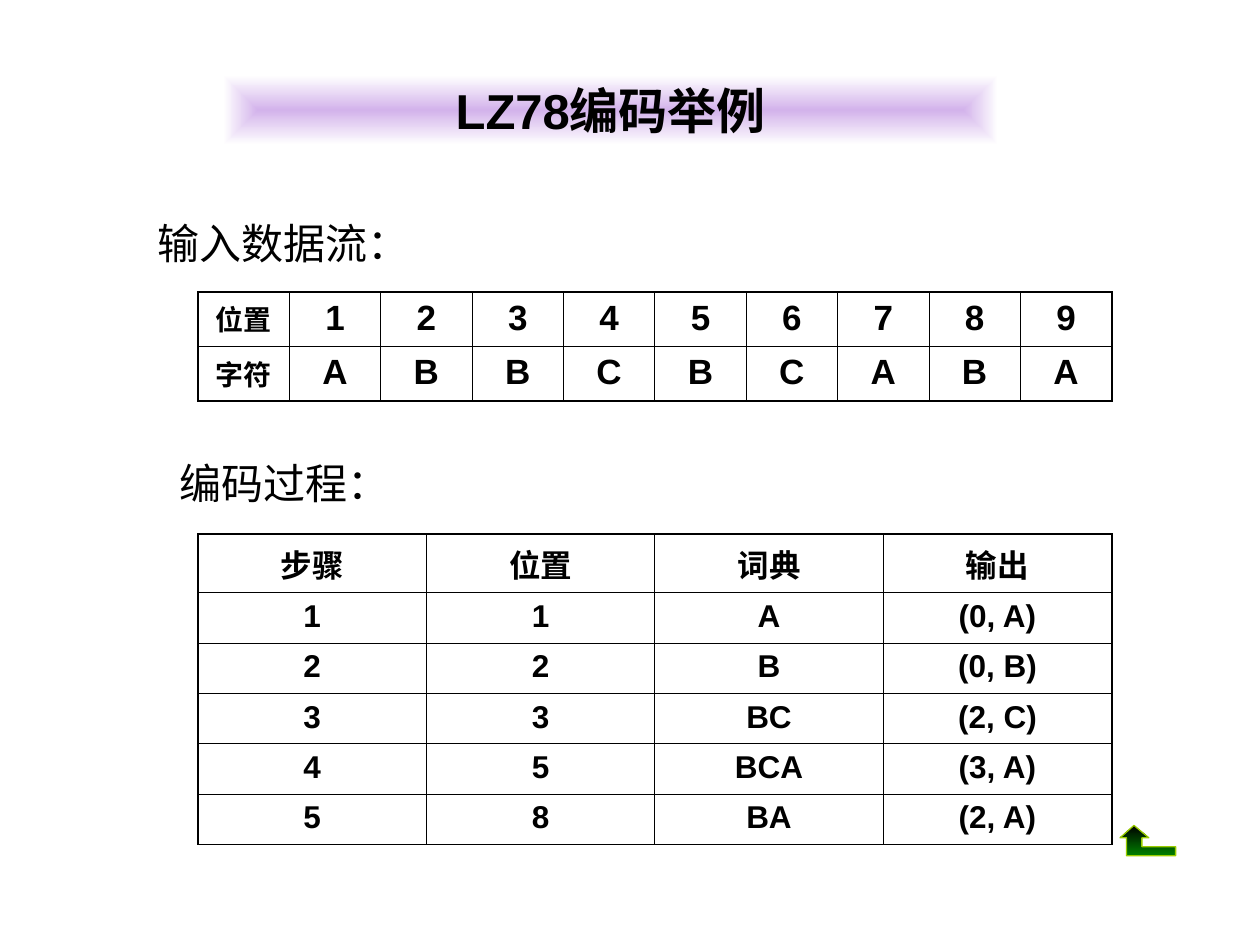
from lxml import etree
from pptx import Presentation
from pptx import util as u
from pptx.dml.color import RGBColor
from pptx.enum import text
from pptx.oxml import ns

Cm, Pt = u.Cm, u.Pt
COLORS = {
    "ink": "000000",
    "lilac": "D3B3EB",
    "paper": "FFFFFF",
    "green": "008000",
    "lime": "99CC00",
}
OUTER, INNER = 1.08, 0.45

INPUT_ROWS = [["位置", *"123456789"], ["字符", *"ABBCBCABA"]]
ENCODING_ROWS = [
    ["步骤", "位置", "词典", "输出"],
    ["1", "1", "A", "(0, A)"],
    ["2", "2", "B", "(0, B)"],
    ["3", "3", "BC", "(2, C)"],
    ["4", "5", "BCA", "(3, A)"],
    ["5", "8", "BA", "(2, A)"],
]


def color(name):
    return RGBColor.from_string(COLORS[name])


def write(frame, words, size, font="Arial", bold=False):
    frame.text = words
    para = frame.paragraphs[0]
    para.alignment = text.PP_ALIGN.CENTER
    for span in para.runs:
        span.font.size, span.font.name, span.font.bold = Pt(size), font, bold
        span.font.color.rgb = color("ink")


def fill_gradient(shape, first, last):
    shape.fill.gradient()
    for stop, name in zip(shape.fill.gradient_stops, (first, last)):
        stop.color.rgb = color(name)


def add_title(page, box, words):
    title = page.shapes.title
    title.left, title.top, title.width, title.height = map(Cm, box)
    fill_gradient(title, "lilac", "paper")
    linear = title._element.spPr.find(".//" + ns.qn("a:lin"))
    gradient = linear.getparent()
    gradient.remove(linear)
    spread = etree.SubElement(gradient, ns.qn("a:path"), {"path": "rect"})
    etree.SubElement(spread, ns.qn("a:fillToRect"), dict.fromkeys("ltrb", "50000"))
    title.text_frame.vertical_anchor = text.MSO_ANCHOR.MIDDLE
    write(title.text_frame, words, 28, bold=True)


def add_label(page, box, words):
    label = page.shapes.add_textbox(*map(Cm, box))
    label.text_frame.word_wrap = False
    write(label.text_frame, words, 24, font="Karla")


def set_borders(cell, widths):
    """Draw the cell edges; widths maps L, R, T and B to points."""
    properties = cell._tc.get_or_add_tcPr()
    for side, width in widths.items():
        edge = etree.SubElement(properties, ns.qn(f"a:ln{side}"), w=str(Pt(width)))
        solid = etree.SubElement(edge, ns.qn("a:solidFill"))
        etree.SubElement(solid, ns.qn("a:srgbClr"), val=COLORS["ink"])


def add_grid(page, box, rows, size, heading_size):
    """Place a table of equal cells with a heavier outer frame."""
    left, top, width, height = map(Cm, box)
    last_row, last_column = len(rows) - 1, len(rows[0]) - 1
    table = page.shapes.add_table(
        last_row + 1, last_column + 1, left, top, width, height).table
    table.first_row = table.horz_banding = False
    for r, row in enumerate(rows):
        for c, words in enumerate(row):
            cell = table.cell(r, c)
            write(cell.text_frame, words, heading_size if c == 0 else size, bold=True)
            at_edge = {"L": c == 0, "R": c == last_column,
                       "T": r == 0, "B": r == last_row}
            set_borders(cell, {side: OUTER if edge else INNER
                               for side, edge in at_edge.items()})
            cell.fill.background()


def add_return_arrow(page, box):
    left, top, width, height = box
    points = [(0.25, 0), (0.52, 0.41), (0.39, 0.41), (0.39, 0.7), (1, 0.7),
              (1, 1), (0.12, 1), (0.12, 0.41), (0, 0.41)]
    outline = [(x * width * 100, y * height * 100) for x, y in points]
    builder = page.shapes.build_freeform(*outline[0], scale=Cm(0.01))
    builder.add_line_segments(outline[1:], close=True)
    arrow = builder.convert_to_shape(Cm(left), Cm(top))
    arrow.shadow.inherit = False
    fill_gradient(arrow, "ink", "green")
    arrow.fill.gradient_angle = 270
    arrow.line.color.rgb = color("lime")
    arrow.line.width = Pt(0.75)


def main():
    deck = Presentation()
    deck.slide_width, deck.slide_height = Cm(25.4), Cm(19.05)
    page = deck.slides.add_slide(deck.slide_layouts[5])
    add_title(page, (4.5, 1.52, 15.62, 1.4), "LZ78编码举例")
    add_grid(page, (3.99, 5.89, 18.42, 2.2), INPUT_ROWS, 20, 16)
    add_grid(page, (3.99, 10.77, 18.42, 6.1), ENCODING_ROWS, 18, 18)
    add_label(page, (2.92, 4.27, 5.59, 1.27), "输入数据流：")
    add_label(page, (2.95, 9.1, 4.72, 1.27), "编码过程：")
    add_return_arrow(page, (22.58, 16.64, 1.12, 0.61))
    deck.save("out.pptx")


if __name__ == "__main__":
    main()
